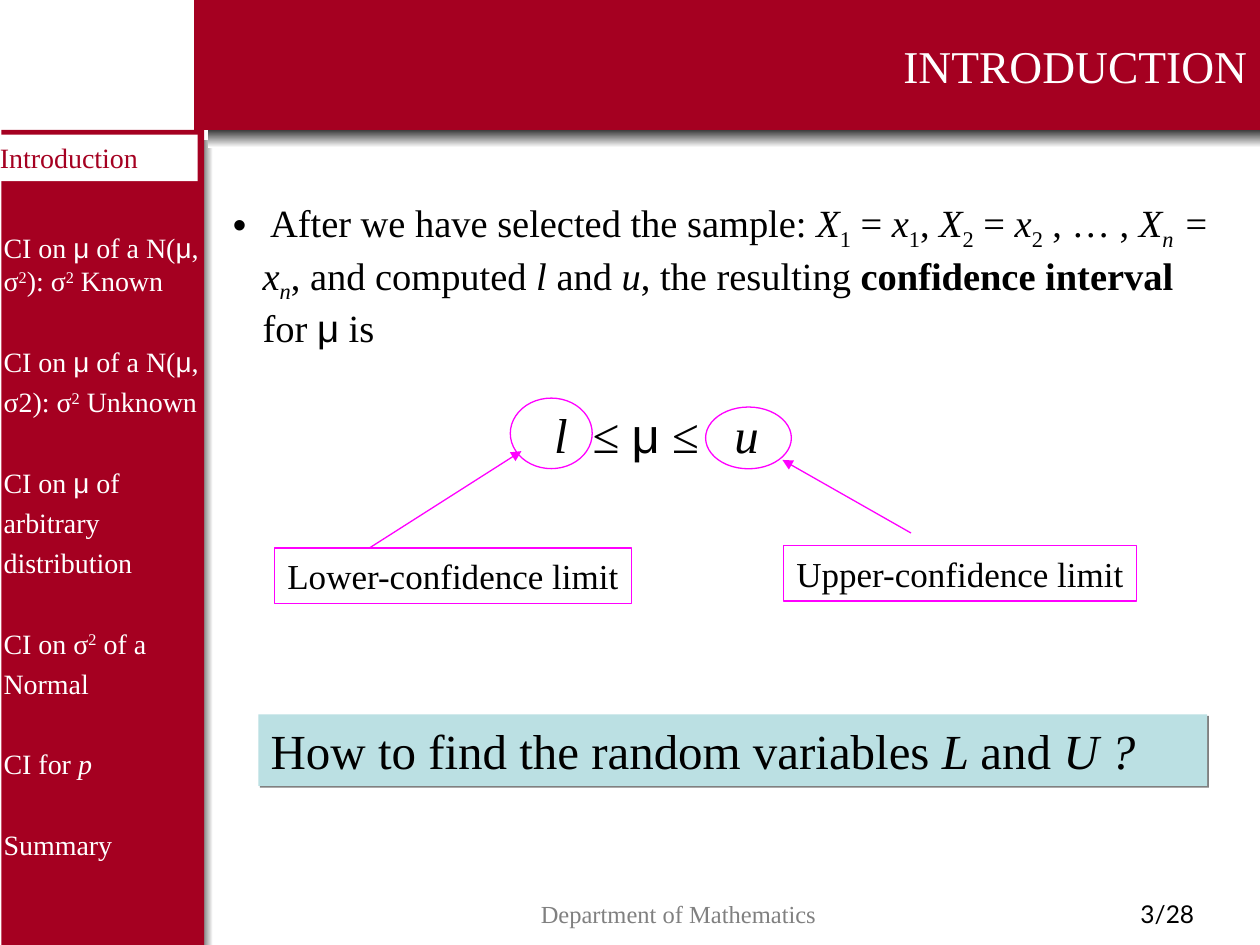
from lxml.etree import SubElement
from pptx import Presentation
from pptx.dml.color import RGBColor
from pptx.enum.shapes import MSO_CONNECTOR, MSO_SHAPE
from pptx.enum.text import MSO_ANCHOR, PP_ALIGN
from pptx.oxml.ns import qn
from pptx.util import Pt

RED, WHITE, BLACK, GREY = "A50021", "FFFFFF", "000000", "808080"
MAGENTA, TEAL = "FF00FF", "BBE0E3"
SERIF = "Times New Roman"
BASELINES = {"^": "30000", "_": "-25000"}

SIDEBAR = [
    [("CI on ",), ("μ",), (" of a N(",), ("μ",), (", σ",), ("2", "^"),
     ("): σ",), ("2", "^"), (" Known",)],
    [("CI on ",), ("μ",), (" of a N(",), ("μ",), (", σ2): σ",), ("2", "^"),
     (" Unknown",)],
    [("CI on ",), ("μ",), (" of arbitrary distribution",)],
    [("CI on σ",), ("2", "^"), (" of a Normal",)],
    [("CI for ",), ("p", "i")],
    [("Summary",)],
]
BODY = [
    (" After we have selected the sample: ",),
    ("X", "i"), ("1", "_"), (" = ",), ("x", "i"), ("1", "_"), (", ",),
    ("X", "i"), ("2", "_"), (" = ",), ("x", "i"), ("2", "_"), (" , … , ",),
    ("X", "i"), ("n", "i_"), (" = x", "i"), ("n", "i_"),
    (", and computed ",), ("l ", "i"), ("and ",), ("u", "i"),
    (", the resulting ",), ("confidence interval ", "b"),
    ("for ",), ("μ",), (" is",),
]
INTERVAL = [("l", "i"), ("\t≤ ",), ("μ",), (" ≤\t",), ("u", "i")]
QUESTION = [("How to find the random variables ",), ("L ", "i"), ("and ",),
            ("U ?", "i")]


def rgb(color):
    return RGBColor.from_string(color)


def add_runs(p, parts, size, color=BLACK, font=SERIF):
    """Each part is (text, style); style letters: i, b, ^ raised, _ lowered."""
    for text, *style in parts:
        style = "".join(style)
        r = p.add_run()
        r.text = text
        r.font.size = Pt(size)
        r.font.name = "Arial" if text == "μ" else font
        r.font.color.rgb = rgb(color)
        r.font.italic = "i" in style
        r.font.bold = "b" in style
        for mark, value in BASELINES.items():
            if mark in style:
                r.font._element.set("baseline", value)


def add_box(slide, box, fill=None, line=None, shape=MSO_SHAPE.RECTANGLE):
    sp = slide.shapes.add_shape(shape, *map(Pt, box))
    sp.shadow.inherit = False
    if fill:
        sp.fill.solid()
        sp.fill.fore_color.rgb = rgb(fill)
    else:
        sp.fill.background()
    if line:
        sp.line.color.rgb = rgb(line)
        sp.line.width = Pt(0.75)
    else:
        sp.line.fill.background()
    return sp


def write(sp, parts, size, color=BLACK, align=PP_ALIGN.LEFT,
          anchor=MSO_ANCHOR.TOP, font=SERIF, wrap=True):
    tf = sp.text_frame
    tf.word_wrap = wrap
    tf.vertical_anchor = anchor
    p = tf.paragraphs[0]
    p.alignment = align
    add_runs(p, parts, size, color, font)
    return p


def add_text(slide, box, parts, size, **style):
    return write(slide.shapes.add_textbox(*map(Pt, box)), parts, size, **style)


def add_gradient(slide, box, colors, angle):
    sp = add_box(slide, box)
    sp.fill.gradient()
    sp.fill.gradient_angle = angle
    for stop, position, color in zip(sp.fill.gradient_stops, (0, 1), colors):
        stop.position = position
        stop.color.rgb = rgb(color)


def add_arrow(slide, start, end):
    line = slide.shapes.add_connector(MSO_CONNECTOR.STRAIGHT,
                                      *map(Pt, start + end))
    line.line.color.rgb = rgb(MAGENTA)
    line.line.width = Pt(0.75)
    SubElement(line.line._get_or_add_ln(), qn("a:tailEnd"), type="triangle")
    SubElement(line._element.spPr, qn("a:effectLst"))


def add_sidebar(slide, left, top, width, height):
    add_gradient(slide, (110.9, 79.9, 10.8, 460.1), (WHITE, BLACK), 180)
    add_box(slide, (left, top, width, height), RED)
    sp = slide.shapes.add_textbox(Pt(left - 5.8), Pt(top + 53.8),
                                  Pt(width + 11.5), Pt(height - 75))
    tf = sp.text_frame
    tf.word_wrap = True
    for i, parts in enumerate(SIDEBAR):
        p = tf.add_paragraph() if i else tf.paragraphs[0]
        if i:
            p.space_before = Pt(23)
            p.line_spacing = 1.2
        add_runs(p, parts, 16, WHITE)


def add_current_section(slide, box):
    sp = add_box(slide, box, WHITE)
    sp.text_frame.margin_left = sp.text_frame.margin_right = 0
    write(sp, [("Introduction",)], 16, RED)


def add_header(slide, left, top, width, height):
    add_gradient(slide, (118.8, 71.3, 601.2, 13), (BLACK, WHITE), 270)
    sp = add_box(slide, (left, top, width, height), RED)
    write(sp, [("INTRODUCTION",)], 26, WHITE, PP_ALIGN.RIGHT,
          MSO_ANCHOR.MIDDLE)


def add_footer(slide, top, height):
    add_text(slide, (168.5, top, 438.5, height),
             [("Department of Mathematics",)], 14, color=GREY,
             align=PP_ALIGN.CENTER)
    add_text(slide, (614.2, top, 105.8, height), [("3/28",)], 14,
             align=PP_ALIGN.CENTER, font="Lato")


def add_body(slide, box):
    p = add_text(slide, box, BODY, 22)
    pPr = p._p.get_or_add_pPr()
    pPr.set("marL", str(Pt(17)))
    pPr.set("indent", str(-Pt(17)))
    SubElement(pPr, qn("a:buFont"), typeface="Arial")
    SubElement(pPr, qn("a:buChar"), char="•")


def add_interval(slide, box):
    p = add_text(slide, box, INTERVAL, 28)
    tabs = SubElement(p._p.get_or_add_pPr(), qn("a:tabLst"))
    for position in (22, 103):
        SubElement(tabs, qn("a:tab"), pos=str(Pt(position)), algn="l")


def add_limit(slide, label, box, circle, start, end):
    """Circle one bound and point to it from its labelled box."""
    add_box(slide, circle, line=MAGENTA, shape=MSO_SHAPE.OVAL)
    sp = add_box(slide, box, line=MAGENTA)
    write(sp, [(label,)], 20, align=PP_ALIGN.CENTER,
          anchor=MSO_ANCHOR.MIDDLE, wrap=False)
    add_arrow(slide, start, end)


def add_question(slide, box):
    sp = add_box(slide, box, TEAL)
    effects = sp._element.spPr.find(qn("a:effectLst"))
    shadow = SubElement(effects, qn("a:outerShdw"), dist=str(Pt(1.4)),
                        dir="2700000", algn="ctr", rotWithShape="0")
    SubElement(shadow, qn("a:srgbClr"), val=GREY)
    write(sp, QUESTION, 28)


def main():
    prs = Presentation()
    prs.slide_width, prs.slide_height = Pt(720), Pt(540)
    slide = prs.slides.add_slide(prs.slide_layouts[6])
    add_sidebar(slide, 0.8, 74.2, 115.9, 465.8)
    add_header(slide, 110.9, 0, 609.1, 74.2)
    add_footer(slide, 510, 30)
    add_body(slide, (126, 110.2, 578.2, 95.8))
    add_interval(slide, (309.6, 227.5, 131.8, 41))
    add_limit(slide, "Lower-confidence limit", (157, 313.2, 203.8, 31.7),
              (291.6, 227.5, 46.8, 40.3), (211, 313.2), (298, 257.8))
    add_limit(slide, "Upper-confidence limit", (447.8, 311.8, 201.6, 31.7),
              (403.2, 232.6, 49, 35.3), (520.6, 304.6), (447.1, 262.8))
    add_question(slide, (147.6, 408.2, 542.2, 41))
    add_current_section(slide, (0, 77, 113, 26.6))
    prs.save("out.pptx")


if __name__ == "__main__":
    main()
